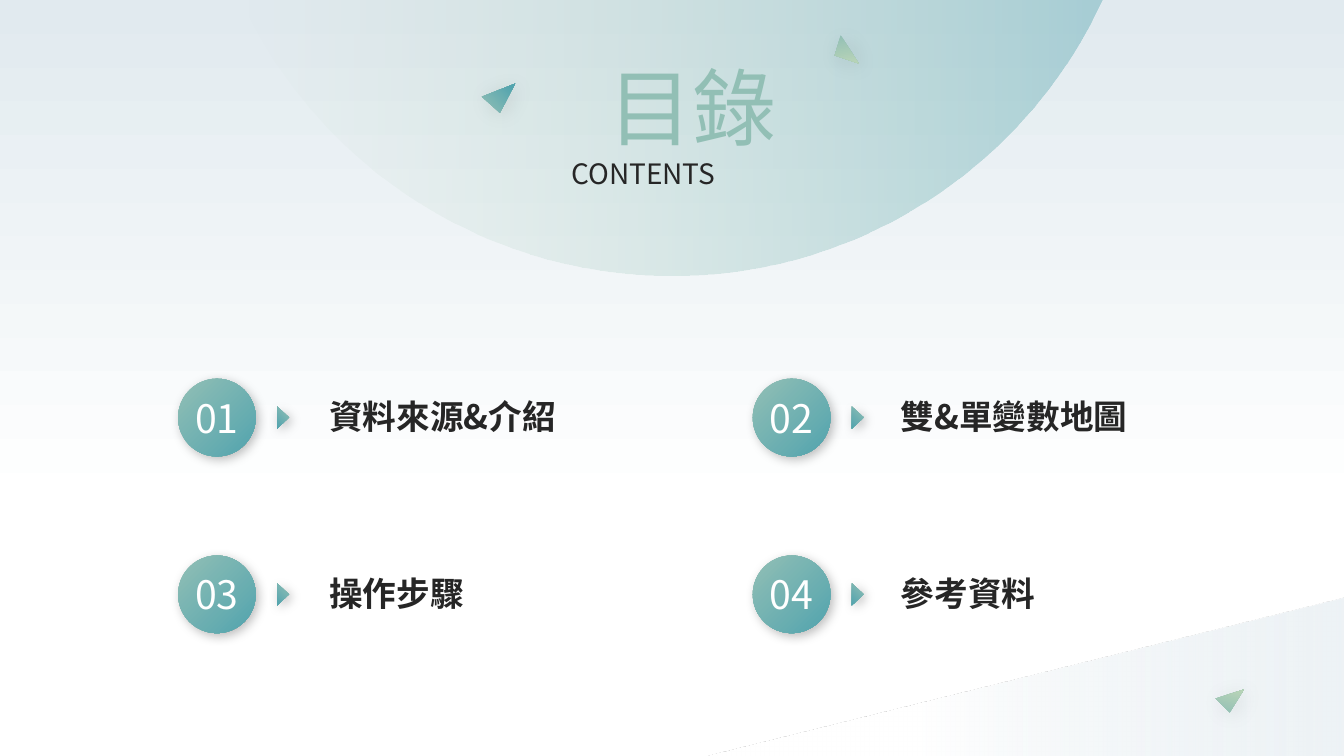
"""Build a contents slide with four numbered topics."""
import math

import pptx
import pptx.dml.color
import pptx.enum.shapes
import pptx.enum.text
import pptx.oxml.ns
import pptx.util
from lxml import etree

Pt = pptx.util.Pt
SHAPE = pptx.enum.shapes.MSO_SHAPE
ALIGN = pptx.enum.text.PP_ALIGN
ANCHOR = pptx.enum.text.MSO_ANCHOR
qn = pptx.oxml.ns.qn

TITLE = "目錄"
SUBTITLE = "CONTENTS"
TOPICS = ["資料來源&介紹", "雙&單變數地圖", "操作步驟", "參考資料"]

FONT = "Noto Sans CJK SC"
C = {"mist": "E1EAEF", "white": "FFFFFF", "sage": "92BFB5", "teal": "52A4AE",
     "leaf": "B6D3B7", "aqua": "77B6BF", "ink": "262626", "shadow": "000000"}

WIDTH, HEIGHT = 960, 540
COLUMNS = 2
ROW_STEP = 126.3
CIRCLE_X, CIRCLE_Y, CIRCLE_STEP, CIRCLE_SIZE = 127.2, 270.5, 410.5, 55.5
ARROW_DX, ARROW_DY, ARROW_W, ARROW_H = 67.1, 23.4, 15.8, 8.6
LABEL_X, LABEL_Y, LABEL_STEP = 228.2, 279.4, 408.2
DOME_X, DOME_BOTTOM, DOME_RADIUS, DOME_STEPS = 479.6, 196.6, 339.6, 120
SHARDS = [
    ([(357.1, 80.6), (344.2, 69.1), (367.9, 59.8)], "teal", 3, 316.9),
    ([(600.5, 25.2), (613.4, 45.4), (596.2, 39.6)], "leaf", 0, 79.5),
    ([(878.4, 509), (868.3, 499), (888.5, 492.5)], "leaf", 0, 285.1),
]


def paint(sp, stops, angle, shadow=None):
    """Fill with (position, colour, alpha) stops at a clockwise angle, with an optional shadow."""
    sp.line.fill.background()
    sp.fill.gradient()
    sp.fill.gradient_angle = (360 - angle) % 360
    for stop, (position, color, _) in zip(sp.fill.gradient_stops, stops):
        stop.position = position / 100
        stop.color.rgb = pptx.dml.color.RGBColor.from_string(C[color])
    colors = sp._element.spPr.iter(qn("a:srgbClr"))
    for color, (_, _, alpha) in zip(list(colors), stops):
        if alpha < 100:
            etree.SubElement(color, qn("a:alpha"), val=str(alpha * 1000))
    sp.shadow.inherit = False
    if shadow:
        alpha, blur, distance = shadow
        effects = sp._element.spPr.find(qn("a:effectLst"))
        outer = etree.SubElement(effects, qn("a:outerShdw"), blurRad=str(Pt(blur)),
                                 dist=str(Pt(distance)), dir="2700000",
                                 algn="tl", rotWithShape="0")
        color = etree.SubElement(outer, qn("a:srgbClr"), val=C["shadow"])
        etree.SubElement(color, qn("a:alpha"), val=str(alpha * 1000))


def write(sp, text, size, color, align=ALIGN.LEFT, anchor=ANCHOR.TOP, bold=False):
    """Put one formatted paragraph in a shape."""
    tf = sp.text_frame
    tf.word_wrap = True
    tf.auto_size = pptx.enum.text.MSO_AUTO_SIZE.NONE
    tf.vertical_anchor = anchor
    p = tf.paragraphs[0]
    p.text = text
    p.alignment = align
    p.line_spacing = 1
    p.font.size = Pt(size)
    p.font.bold = bold
    p.font.color.rgb = pptx.dml.color.RGBColor.from_string(C[color])
    p.font.name = FONT
    etree.SubElement(p._p.pPr.find(qn("a:defRPr")), qn("a:ea"), typeface=FONT)
    return tf


def add_shape(s, kind, x, y, w, h):
    """Add a preset shape measured in points."""
    return s.shapes.add_shape(kind, Pt(x), Pt(y), Pt(w), Pt(h))


def add_text(s, x, y, w, h, *args, **kwargs):
    """Add a text box measured in points."""
    write(s.shapes.add_textbox(Pt(x), Pt(y), Pt(w), Pt(h)), *args, **kwargs)


def add_outline(s, points):
    """Add a closed freeform through points."""
    corners = [(Pt(x), Pt(y)) for x, y in points]
    builder = s.shapes.build_freeform(*corners[0])
    builder.add_line_segments(corners[1:], close=True)
    return builder.convert_to_shape()


def add_backdrop(s):
    """Add the page wash, the corner wedge and the dome."""
    page = add_shape(s, SHAPE.RECTANGLE, 0, 0, WIDTH, HEIGHT)
    paint(page, [(0, "mist", 100), (67, "white", 100)], 90)
    wedge = add_shape(s, SHAPE.ISOSCELES_TRIANGLE, 502.5, 427, 458.5, 113.5)
    wedge.adjustments[0] = 1
    paint(wedge, [(0, "mist", 57), (67, "white", 100)], 180)

    center_y = DOME_BOTTOM - DOME_RADIUS
    start = math.asin(-center_y / DOME_RADIUS)
    angles = [start + (math.pi - 2 * start) * i / DOME_STEPS for i in range(DOME_STEPS + 1)]
    dome = add_outline(s, [(DOME_X + DOME_RADIUS * math.cos(a),
                            center_y + DOME_RADIUS * math.sin(a)) for a in angles])
    paint(dome, [(0, "leaf", 0), (100, "aqua", 55)], 0)


def add_topic(s, index, topic):
    """Add a numbered circle, its arrow and its label."""
    row, column = divmod(index, COLUMNS)
    x, y = CIRCLE_X + column * CIRCLE_STEP, CIRCLE_Y + row * ROW_STEP
    stops = [(0, "sage", 100), (100, "teal", 100)]
    circle = add_shape(s, SHAPE.OVAL, x, y, CIRCLE_SIZE, CIRCLE_SIZE)
    paint(circle, stops, 45, (25, 8, 3))
    tf = write(circle, f"{index + 1:02}", 28, "white", ALIGN.CENTER, ANCHOR.MIDDLE)
    tf.margin_left = tf.margin_right = tf.margin_top = tf.margin_bottom = 0
    arrow = add_shape(s, SHAPE.ISOSCELES_TRIANGLE, x + ARROW_DX, y + ARROW_DY, ARROW_W, ARROW_H)
    arrow.rotation = 90
    paint(arrow, stops, 45, (25, 8, 3))
    add_text(s, LABEL_X + column * LABEL_STEP, LABEL_Y + row * ROW_STEP, 182.2, 36,
             topic, 24, "ink", bold=True)


def main():
    """Build and save the slide."""
    prs = pptx.Presentation()
    prs.slide_width, prs.slide_height = Pt(WIDTH), Pt(HEIGHT)
    s = prs.slides.add_slide(prs.slide_layouts[5])
    add_backdrop(s)

    title = s.shapes.title
    title.left, title.top, title.width, title.height = Pt(416.9), Pt(36), Pt(154.8), Pt(80)
    write(title, TITLE, 60, "sage", ALIGN.CENTER)
    s.shapes._spTree.append(title._element)
    add_text(s, 401, 108, 185.8, 38.9, SUBTITLE, 20, "ink")

    for index, topic in enumerate(TOPICS):
        add_topic(s, index, topic)
    for points, color, first, angle in SHARDS:
        paint(add_outline(s, points), [(first, "sage", 100), (92, color, 100)], angle, (10, 15, 3))
    prs.save("out.pptx")


if __name__ == "__main__":
    main()
